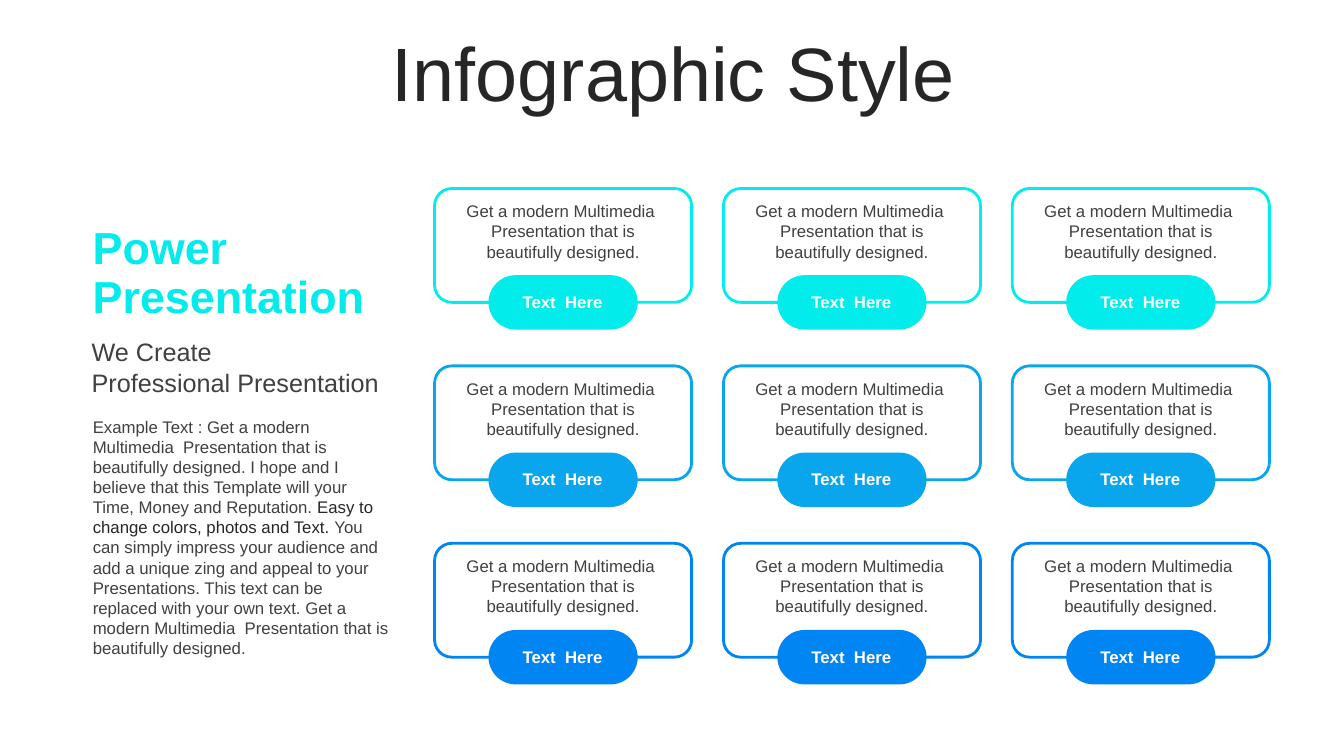
from dataclasses import dataclass

from pptx import Presentation
from pptx.dml.color import RGBColor
from pptx.enum.shapes import MSO_SHAPE
from pptx.enum.text import MSO_ANCHOR, MSO_AUTO_SIZE, PP_ALIGN
from pptx.shapes.autoshape import Shape
from pptx.shapes.shapetree import GroupShapes
from pptx.slide import Slide
from pptx.text.text import Font, TextFrame
from pptx.util import Inches, Pt

ROUNDED = MSO_SHAPE.ROUNDED_RECTANGLE
LEFT, CENTER = PP_ALIGN.LEFT, PP_ALIGN.CENTER
MIDDLE = MSO_ANCHOR.MIDDLE
NO_FIT, GROW = MSO_AUTO_SIZE.NONE, MSO_AUTO_SIZE.SHAPE_TO_FIT_TEXT

COLORS = {
    "cyan": "02ECEC",
    "sky": "0AA6ED",
    "blue": "0085F2",
    "dark": "262626",
    "gray": "404040",
    "white": "FFFFFF",
}
FONT_NAME = "Arial"
ROW_COLORS = ("cyan", "sky", "blue")
COLUMN_COUNT = 3
GRID_LEFT, GRID_TOP = 4.31, 1.87
COLUMN_STEP, ROW_STEP = 2.865, 1.76
CARD_TEXT = "Get a modern Multimedia  Presentation that is beautifully designed."
BUTTON_TEXT = "Text  Here"
EXAMPLE_RUNS = (
    ("Example Text : Get a modern Multimedia  Presentation that is beautifully "
     "designed. I hope and I believe that this Template will your Time, Money "
     "and Reputation. ", "gray"),
    ("Easy to change colors, photos and Text. ", "dark"),
    ("You can simply impress your audience and add a unique zing and appeal to "
     "your Presentations. This text can be replaced with your own text. Get a "
     "modern Multimedia  Presentation that is beautifully designed.", "gray"),
)


@dataclass(frozen=True)
class Box:
    left: float
    top: float
    width: float
    height: float

    def lengths(self) -> tuple[int, int, int, int]:
        return (Inches(self.left), Inches(self.top),
                Inches(self.width), Inches(self.height))


@dataclass(frozen=True)
class TextStyle:
    size: int
    color: str
    bold: bool = False
    alignment: PP_ALIGN = LEFT
    line_spacing: float | Pt | None = None


@dataclass(frozen=True)
class Insets:
    left: float = 0.1
    top: float = 0.05
    right: float = 0.1
    bottom: float = 0.05


TITLE = TextStyle(54, "dark", alignment=CENTER, line_spacing=0.9)
HEADING = TextStyle(32, "cyan", bold=True, line_spacing=Pt(35))
SUBHEADING = TextStyle(18, "gray")
BODY = TextStyle(12, "gray")
CARD = TextStyle(12, "gray", alignment=CENTER)
BUTTON = TextStyle(12, "white", bold=True, alignment=CENTER)


def rgb(color: str) -> RGBColor:
    return RGBColor.from_string(COLORS[color])


def format_font(font: Font, style: TextStyle) -> None:
    font.name = FONT_NAME
    font.size = Pt(style.size)
    font.bold = style.bold
    font.color.rgb = rgb(style.color)


def format_text(text_frame: TextFrame, style: TextStyle) -> None:
    for paragraph in text_frame.paragraphs:
        paragraph.alignment = style.alignment
        if style.line_spacing is not None:
            paragraph.line_spacing = style.line_spacing
        for run in paragraph.runs:
            format_font(run.font, style)


def add_text(shapes: GroupShapes, box: Box, text: str, style: TextStyle,
             insets: Insets = Insets()) -> TextFrame:
    text_frame = shapes.add_textbox(*box.lengths()).text_frame
    text_frame.word_wrap = True
    text_frame.auto_size = GROW
    text_frame.margin_left = Inches(insets.left)
    text_frame.margin_top = Inches(insets.top)
    text_frame.margin_right = Inches(insets.right)
    text_frame.margin_bottom = Inches(insets.bottom)
    text_frame.text = text
    format_text(text_frame, style)
    return text_frame


def add_rounded(shapes: GroupShapes, box: Box, rounding: float, fill: str) -> Shape:
    shape = shapes.add_shape(ROUNDED, *box.lengths())
    shape.adjustments[0] = rounding
    shape.shadow.inherit = False
    shape.fill.solid()
    shape.fill.fore_color.rgb = rgb(fill)
    shape.line.fill.background()
    return shape


def add_card(slide: Slide, left: float, top: float, color: str) -> None:
    """Group an outlined card with the button that straddles its lower edge."""
    shapes = slide.shapes.add_group_shape().shapes
    frame = add_rounded(shapes, Box(left, top, 2.55, 1.13), 0.152, "white")
    frame.line.color.rgb = rgb(color)
    frame.line.width = Pt(2)
    add_rounded(shapes, Box(left + 0.535, top + 0.86, 1.48, 0.54), 0.5, color)
    add_text(shapes, Box(left + 0.215, top + 0.075, 2.12, 0.71), CARD_TEXT, CARD)
    add_text(shapes, Box(left + 0.685, top + 0.975, 1.17, 0.3), BUTTON_TEXT, BUTTON)


def add_title(slide: Slide) -> None:
    title = slide.shapes.title
    title.left, title.top, title.width, title.height = Box(
        0.35, 0.37, 12.66, 0.79).lengths()
    text_frame = title.text_frame
    text_frame.text = "Infographic Style"
    text_frame.auto_size = NO_FIT
    text_frame.vertical_anchor = MIDDLE
    format_text(text_frame, TITLE)


def add_introduction(slide: Slide) -> None:
    shapes = slide.shapes.add_group_shape().shapes
    heading_insets = Insets(0.08, 0, 0.04, 0)
    add_text(shapes, Box(0.84, 2.23, 3.16, 0.98), "Power\nPresentation",
             HEADING, heading_insets)
    example = add_text(shapes, Box(0.84, 4.08, 3.15, 2.52), "", BODY,
                       Insets(left=0.08, right=0.12))
    for text, color in EXAMPLE_RUNS:
        run = example.paragraphs[0].add_run()
        run.text = text
        format_font(run.font, TextStyle(BODY.size, color))
    add_text(shapes, Box(0.83, 3.34, 3.16, 0.61),
             "We Create\nProfessional Presentation", SUBHEADING, heading_insets)


def main() -> None:
    presentation = Presentation()
    presentation.slide_width = Inches(13.33)
    presentation.slide_height = Inches(7.5)
    title_only = presentation.slide_layouts.get_by_name("Title Only")
    slide = presentation.slides.add_slide(title_only)
    add_title(slide)
    for row, color in enumerate(ROW_COLORS):
        for column in range(COLUMN_COUNT):
            add_card(slide, GRID_LEFT + column * COLUMN_STEP,
                     GRID_TOP + row * ROW_STEP, color)
    add_introduction(slide)
    presentation.save("out.pptx")


if __name__ == "__main__":
    main()
